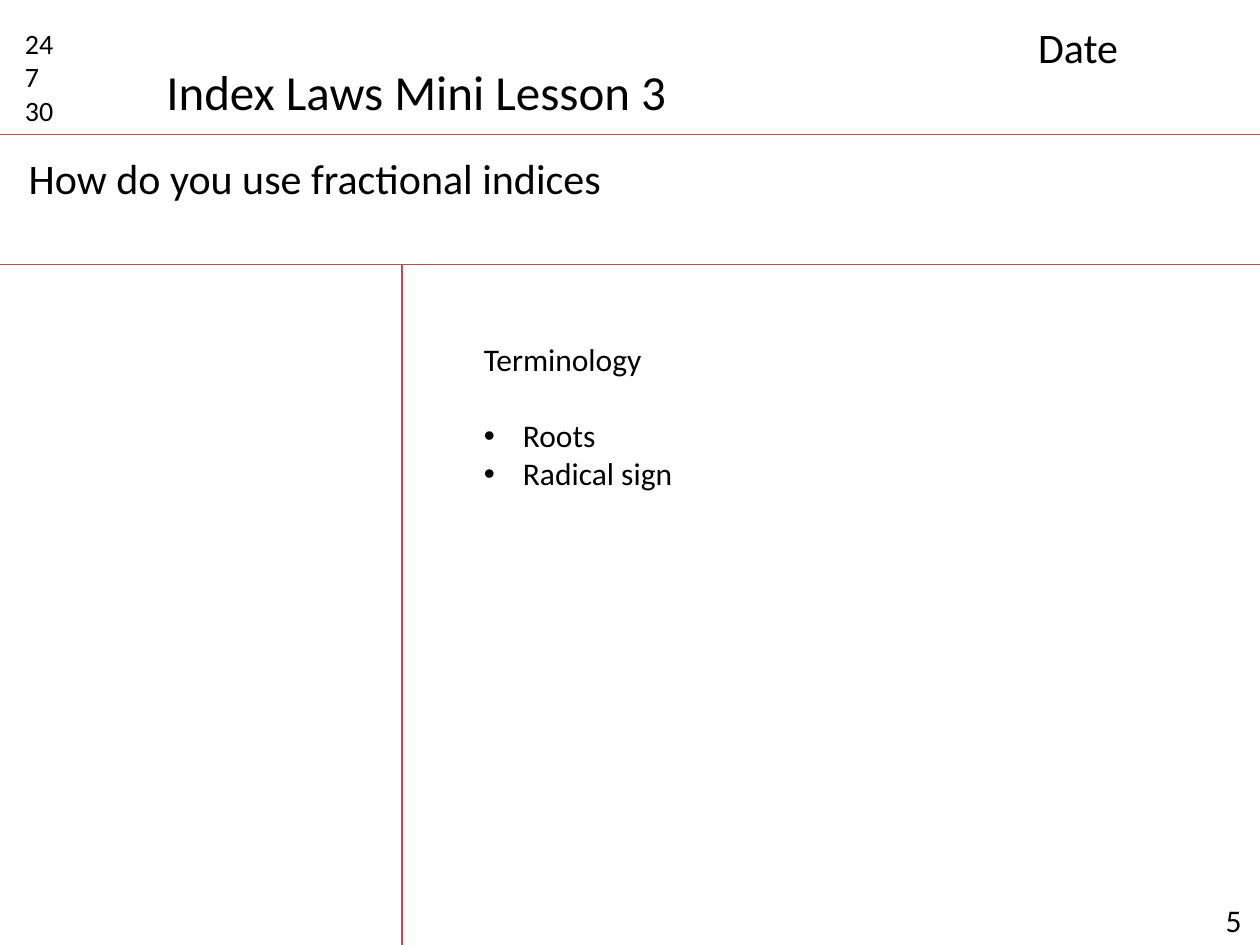
import pptx
import pptx.dml.color
import pptx.enum.shapes
import pptx.enum.text
import pptx.oxml.ns
import pptx.util
from lxml import etree
from pptx.util import Inches

WIDTH, HEIGHT = 10, 7.5
HEADER_Y, QUESTION_Y, MARGIN_X = 1.07, 2.1, 3.19


def color(value):
    return pptx.dml.color.RGBColor.from_string(value)


class LessonSlide:
    font, ink, rule = "Calibri", "000000", "BF4C48"

    def __init__(self, slide):
        self.slide = slide

    def fill_text(self, sp, box, lines, size, wrap=True):
        sp.left, sp.top, sp.width, sp.height = [Inches(v) for v in box]
        tf = sp.text_frame
        tf.text = "\n".join(lines)
        tf.word_wrap = wrap
        tf.auto_size = pptx.enum.text.MSO_AUTO_SIZE.NONE
        tf.vertical_anchor = pptx.enum.text.MSO_ANCHOR.TOP
        for p in tf.paragraphs:
            p.alignment = pptx.enum.text.PP_ALIGN.LEFT
            p.space_before = pptx.util.Pt(0)
            for r in p.runs:
                r.font.name = self.font
                r.font.size = pptx.util.Pt(size)
                r.font.color.rgb = color(self.ink)
        return tf

    def title(self, box, text, size):
        self.fill_text(self.slide.shapes.title, box, [text], size, wrap=False)

    def text(self, box, lines, size):
        sp = self.slide.shapes.add_textbox(*[Inches(v) for v in box])
        self.fill_text(sp, box, lines, size)

    def bullets(self, box, heading, items, size, indent, gap):
        sp = self.slide.placeholders[1]
        tf = self.fill_text(sp, box, [heading] + items, size)
        for i, p in enumerate(tf.paragraphs):
            hang = Inches(indent) if i else 0
            pPr = p._p.get_or_add_pPr()
            pPr.set("marL", str(hang))
            pPr.set("indent", str(-hang))
            tag = "a:buChar" if i else "a:buNone"
            bullet = etree.SubElement(pPr, pptx.oxml.ns.qn(tag))
            if i:
                bullet.set("char", "•")
        # Gap between the heading and its list
        tf.paragraphs[1].space_before = pptx.util.Pt(gap)

    def line(self, x1, y1, x2, y2):
        s = self.slide.shapes.add_connector(
            pptx.enum.shapes.MSO_CONNECTOR.STRAIGHT,
            *[Inches(v) for v in (x1, y1, x2, y2)])
        s.line.color.rgb = color(self.rule)
        s.line.width = pptx.util.Pt(0.75)
        etree.SubElement(s._element.spPr, pptx.oxml.ns.qn("a:effectLst"))


def main():
    prs = pptx.Presentation()
    prs.slide_width, prs.slide_height = Inches(WIDTH), Inches(HEIGHT)
    page = LessonSlide(prs.slides.add_slide(prs.slide_layouts[1]))

    # Ruled notebook lines
    for y in (HEADER_Y, QUESTION_Y):
        page.line(0, y, WIDTH, y)
    page.line(MARGIN_X, QUESTION_Y, MARGIN_X, HEIGHT)

    # Header
    page.text((0.1, 0.16, 0.63, 0.91), ["24", "7", "30"], 16)
    page.title((1.22, 0.44, 4.21, 1.04), "Index Laws Mini Lesson 3", 28)
    page.text((8.14, 0.12, 1.73, 0.5), ["Date"], 24)

    # Lesson question
    page.text((0.13, 1.16, 9.43, 0.5), ["How do you use fractional indices"], 24)

    # Notes
    page.bullets((3.74, 2.65, 5.51, 1.62), "Terminology",
                 ["Roots", "Radical sign"], 18, indent=0.31, gap=22)

    # Page number
    page.text((9.63, 7.1, 0.37, 0.4), ["5"], 18)

    prs.save("out.pptx")


if __name__ == "__main__":
    main()
